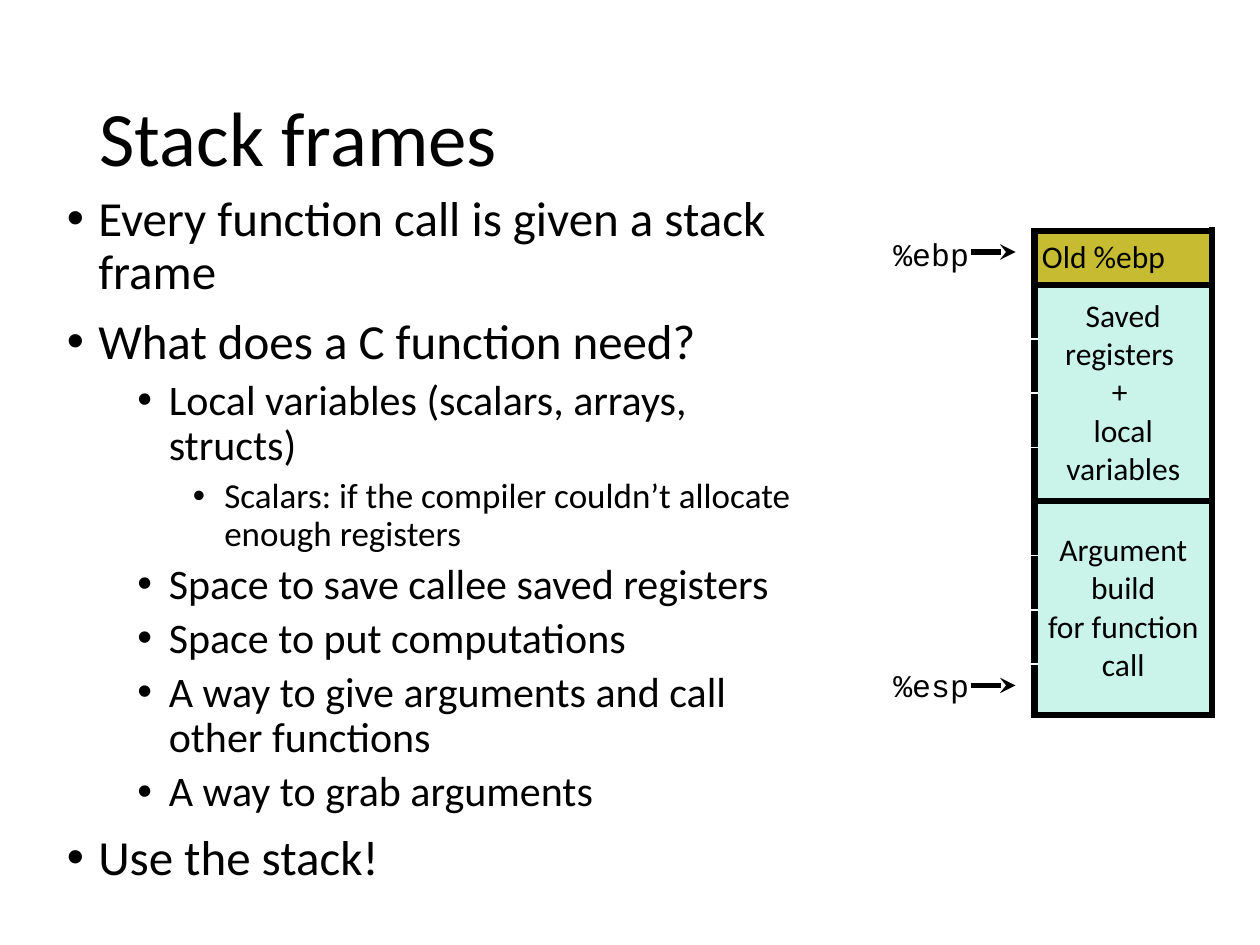
from lxml.etree import SubElement
from pptx import Presentation
from pptx.dml.color import RGBColor
from pptx.enum.shapes import MSO_CONNECTOR
from pptx.enum.text import MSO_ANCHOR, MSO_AUTO_SIZE, PP_ALIGN
from pptx.oxml.ns import qn
from pptx.util import Inches, Pt

BLACK = RGBColor(0, 0, 0)
WHITE = RGBColor(0xFF, 0xFF, 0xFF)
GOLD = RGBColor(0xC7, 0xBB, 0x31)
MINT = RGBColor(0xCA, 0xF4, 0xE9)


def write(para, text, size, face="Calibri"):
    run = para.add_run()
    run.text = text
    run.font.size = Pt(size)
    run.font.name = face
    run.font.color.rgb = BLACK


def border(cell, side, color, width):
    line = SubElement(cell._tc.get_or_add_tcPr(), qn("a:ln" + side), w=str(Pt(width)))
    fill = SubElement(line, qn("a:solidFill"))
    SubElement(fill, qn("a:srgbClr"), val=str(color))


deck = Presentation()
deck.slide_width, deck.slide_height = Inches(10), Inches(7.5)
slide = deck.slides.add_slide(deck.slide_layouts[1])

title, body = slide.placeholders
title.left, title.top = Inches(0.69), Inches(0.4)
title.width, title.height = Inches(8.62), Inches(1.45)
frame = title.text_frame
frame.auto_size = MSO_AUTO_SIZE.NONE
frame.vertical_anchor = MSO_ANCHOR.MIDDLE
para = frame.paragraphs[0]
para.alignment = PP_ALIGN.LEFT
para.line_spacing = 0.9
write(para, "Stack frames", 44)

body.left, body.top = Inches(0.43), Inches(1.49)
body.width, body.height = Inches(6.12), Inches(6.01)
frame = body.text_frame
frame.auto_size = MSO_AUTO_SIZE.NONE
levels = [(0.25, 28, 10), (0.81, 24, 5), (1.25, 20, 5)]
items = [
    (0, "Every function call is given a stack frame"),
    (0, "What does a C function need?"),
    (1, "Local variables (scalars, arrays, structs)"),
    (2, "Scalars: if the compiler couldn’t allocate enough registers"),
    (1, "Space to save callee saved registers"),
    (1, "Space to put computations"),
    (1, "A way to give arguments and call other functions"),
    (1, "A way to grab arguments"),
    (0, "Use the stack!"),
]
for i, (level, text) in enumerate(items):
    para = frame.add_paragraph() if i else frame.paragraphs[0]
    indent, size, gap = levels[level]
    props = para._p.get_or_add_pPr()
    props.set("marL", str(Inches(indent)))
    props.set("indent", str(Inches(-0.25)))
    SubElement(props, qn("a:buFont"), typeface="Arial")
    SubElement(props, qn("a:buChar"), char="•")
    para.level = level
    para.line_spacing = 0.9
    para.space_before = Pt(gap if i else 0)
    write(para, text, size)

table = slide.shapes.add_table(
    9, 2, Inches(7.03), Inches(1.83), Inches(2.59), Inches(3.83)).table
table.first_row = table.horz_banding = False
for col, width in zip(table.columns, (1.18, 1.41)):
    col.width = Inches(width)
for i, row in enumerate(table.rows):
    row.height = Inches(0.39 if i == 8 else 0.43)
    left, right = row.cells
    for cell in row.cells:
        cell.margin_left = cell.margin_right = Inches(0.06)
        cell.margin_top = cell.margin_bottom = Inches(0.06)
        cell.vertical_anchor = MSO_ANCHOR.MIDDLE
    for side in "LRTB":
        thick = side == "R" or (i, side) in [(4, "B"), (5, "T")]
        border(left, side, BLACK if side == "R" else WHITE, 4 if thick else 1)
        border(right, side, BLACK, 4)
    left.fill.background()
    right.fill.solid()
    right.fill.fore_color.rgb = MINT if i else GOLD
for top in (1, 5):
    table.cell(top, 1).merge(table.cell(top + 3, 1))

cells = [
    (0, 0, "Courier New", ["%ebp"]),
    (0, 1, "Calibri", ["Old %ebp"]),
    (1, 1, "Calibri", ["Saved registers ", "+ ", "local variables"]),
    (5, 1, "Calibri", ["Argument", "build", "for function call"]),
    (8, 0, "Courier New", ["%esp"]),
]
for row, col, face, lines in cells:
    frame = table.cell(row, col).text_frame
    for i, text in enumerate(lines):
        para = frame.add_paragraph() if i else frame.paragraphs[0]
        para.alignment = PP_ALIGN.CENTER if len(lines) > 1 else PP_ALIGN.LEFT
        write(para, text, 18, face)

for y in (2, 5.44):
    arrow = slide.shapes.add_connector(
        MSO_CONNECTOR.STRAIGHT, Inches(8.06), Inches(y), Inches(7.71), Inches(y))
    arrow.line.color.rgb = BLACK
    arrow.line.width = Pt(3)
    SubElement(arrow.line._get_or_add_ln(), qn("a:headEnd"), type="stealth")
    SubElement(arrow._element.spPr, qn("a:effectLst"))

deck.save("out.pptx")
